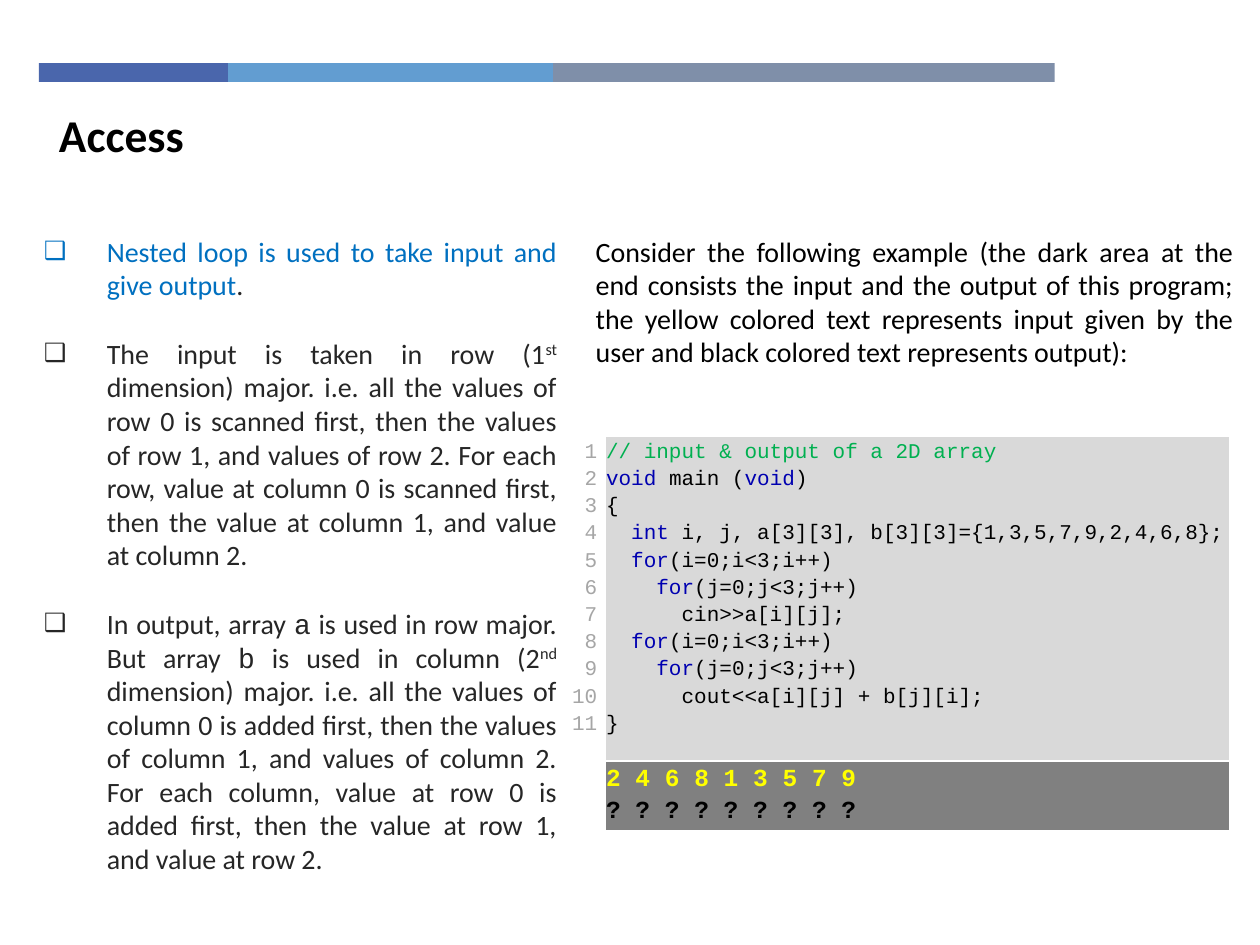
import pptx
import pptx.util
import pptx.dml.color
import pptx.enum.shapes
import pptx.enum.text
import pptx.oxml.ns
import lxml.etree

Inches = pptx.util.Inches
Pt = pptx.util.Pt
ALIGN = pptx.enum.text.PP_ALIGN
ANCHOR = pptx.enum.text.MSO_ANCHOR
BODY, MONO = "Calibri", "Courier New"
BLACK, DARK, BLUE, KEYWORD = "000000", "262626", "0070C0", "0000B0"

BARS = [(1.5, "4A66AC"), (2.58, "629DD1"), (3.98, "7F8FA9")]
BULLETS = [
    [("Nested loop is used to take input and give output", {"color": BLUE}), (".", {})],
    [("The input is taken in row (1", {}), ("st", {"raised": True}),
     (" dimension) major. i.e. all the values of row 0 is scanned first, then the values of row 1, "
      "and values of row 2. For each row, value at column 0 is scanned first, then the value at "
      "column 1, and value at column 2.", {})],
    [("In output, array ", {}), ("a", {"font": MONO}),
     (" is used in row major. But array ", {}), ("b", {"font": MONO}),
     (" is used in column (2", {}), ("nd", {"raised": True}),
     (" dimension) major. i.e. all the values of column 0 is added first, then the values of "
      "column 1, and values of column 2. For each column, value at row 0 is added first, then the "
      "value at row 1, and value at row 2.", {})],
]
EXAMPLE = ("Consider the following example (the dark area at the end consists the input and the "
           "output of this program; the yellow colored text represents input given by the user "
           "and black colored text represents output):")
CODE = [
    [("// input & output of a 2D array", "00B050")],
    [("void", KEYWORD), (" main (", BLACK), ("void", KEYWORD), (")", BLACK)],
    [("{", BLACK)],
    [("  int ", KEYWORD), ("i, j, a[3][3], b[3][3]={1,3,5,7,9,2,4,6,8};", BLACK)],
    [("  for", KEYWORD), ("(i=0;i<3;i++)", BLACK)],
    [("    for", KEYWORD), ("(j=0;j<3;j++)", BLACK)],
    [("      cin>>a[i][j];", BLACK)],
    [("  for", KEYWORD), ("(i=0;i<3;i++)", BLACK)],
    [("    for", KEYWORD), ("(j=0;j<3;j++)", BLACK)],
    [("      cout<<a[i][j] + b[j][i];", BLACK)],
    [("}", BLACK)],
]
CONSOLE = [[("2 4 6 8 1 3 5 7 9", "FFFF00")], [("? ? ? ? ? ? ? ? ?", BLACK)]]


def rgb(color):
    """Return the colour object for a hex string."""
    return pptx.dml.color.RGBColor.from_string(color)


def add_run(paragraph, text, size, color, font=BODY, bold=False, raised=False):
    """Append one formatted run to a paragraph."""
    run = paragraph.add_run()
    run.text = text
    run.font.name = font
    run.font.size = Pt(size)
    run.font.bold = bold
    run.font.color.rgb = rgb(color)
    if raised:
        run.font._element.set("baseline", "30000")


def next_paragraph(frame, index):
    """Return the first paragraph of a frame, or a new one after it."""
    return frame.add_paragraph() if index else frame.paragraphs[0]


def add_text_box(slide, left, top, width, height, anchor=ANCHOR.TOP):
    """Add a wrapping text box and return its text frame."""
    shape = slide.shapes.add_textbox(Inches(left), Inches(top), Inches(width), Inches(height))
    shape.text_frame.word_wrap = True
    shape.text_frame.vertical_anchor = anchor
    return shape.text_frame


def add_bars(slide):
    """Draw the row of coloured bars from left to right."""
    left = 0.31
    for width, color in BARS:
        shape = slide.shapes.add_shape(pptx.enum.shapes.MSO_SHAPE.RECTANGLE, Inches(left),
                                       Inches(0.5), Inches(width), Inches(0.15))
        shape.shadow.inherit = False
        shape.fill.solid()
        shape.fill.fore_color.rgb = rgb(color)
        shape.line.fill.background()
        left += width


def set_bullet(paragraph):
    """Give a paragraph a box bullet with a hanging indent."""
    properties = paragraph._p.get_or_add_pPr()
    properties.set("marL", str(Inches(0.5)))
    properties.set("indent", str(-Inches(0.5)))
    for tag, name, value in (("a:buSzPct", "val", "90000"), ("a:buFont", "typeface", "Arial"),
                             ("a:buChar", "char", "❑")):
        lxml.etree.SubElement(properties, pptx.oxml.ns.qn(tag)).set(name, value)


def add_bullets(slide):
    """Add the explanation list on the left."""
    frame = add_text_box(slide, 0.25, 1.81, 4.27, 5.43)
    for index, runs in enumerate(BULLETS):
        paragraph = next_paragraph(frame, index)
        set_bullet(paragraph)
        paragraph.alignment = ALIGN.JUSTIFY
        if index:
            paragraph.space_before = Pt(20)
        for text, style in runs:
            add_run(paragraph, text, 16, **{"color": DARK, **style})


def format_cell(cell, fill=None, right=0.01):
    """Set the margins and fill of a table cell."""
    cell.margin_left = cell.margin_top = cell.margin_bottom = Inches(0.01)
    cell.margin_right = Inches(right)
    if fill:
        cell.fill.solid()
        cell.fill.fore_color.rgb = rgb(fill)
    else:
        cell.fill.background()


def write_lines(cell, lines, size, bold=False):
    """Write monospaced lines of coloured runs into a cell."""
    for index, runs in enumerate(lines):
        paragraph = next_paragraph(cell.text_frame, index)
        paragraph.line_spacing = 1.15
        for text, color in runs:
            add_run(paragraph, text, size, color, MONO, bold)


def write_numbers(cell, count):
    """Write right-aligned line numbers into a cell."""
    paragraph = cell.text_frame.paragraphs[0]
    paragraph.alignment = ALIGN.RIGHT
    paragraph.line_spacing = 1.15
    for number in range(1, count + 1):
        if number > 1:
            paragraph.add_line_break()
        add_run(paragraph, str(number), 12, "A6A6A6", MONO)


def add_code_table(slide):
    """Add the numbered program listing with its console area."""
    table = slide.shapes.add_table(2, 2, Inches(4.52), Inches(3.46),
                                   Inches(5.24), Inches(3.12)).table
    table.first_row = table.horz_banding = False
    for column, width in zip(table.columns, (0.28, 4.96)):
        column.width = Inches(width)
    for row, height in zip(table.rows, (2.58, 0.54)):
        row.height = Inches(height)
    for index, fill in enumerate(("D9D9D9", "808080")):
        format_cell(table.cell(index, 0), right=0.06)
        format_cell(table.cell(index, 1), fill)
    write_numbers(table.cell(0, 0), len(CODE))
    write_lines(table.cell(0, 1), CODE, 12)
    write_lines(table.cell(1, 1), CONSOLE, 14, bold=True)


def main():
    """Build the slide and save it."""
    presentation = pptx.Presentation()
    presentation.slide_width = Inches(10)
    presentation.slide_height = Inches(7.5)
    slide = presentation.slides.add_slide(presentation.slide_layouts[6])
    add_bars(slide)
    add_bullets(slide)
    add_code_table(slide)
    example = add_text_box(slide, 4.63, 1.81, 5.26, 1.18).paragraphs[0]
    example.alignment = ALIGN.JUSTIFY
    add_run(example, EXAMPLE, 16, BLACK)
    title = add_text_box(slide, 0.37, 0.8, 7.16, 0.54, ANCHOR.MIDDLE).paragraphs[0]
    add_run(title, "Access", 26, BLACK, bold=True)
    presentation.save("out.pptx")


if __name__ == "__main__":
    main()
